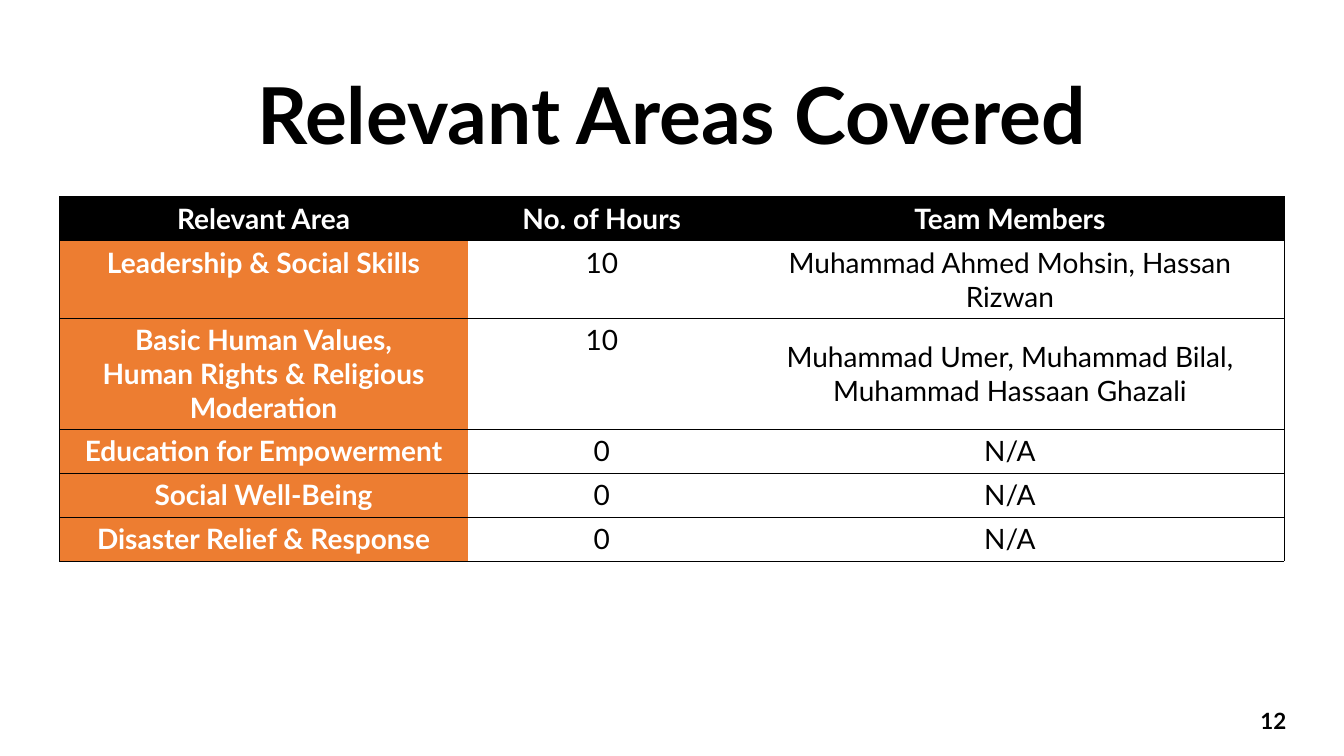
from dataclasses import dataclass
from lxml.etree import SubElement
from pptx import Presentation
from pptx.dml.color import RGBColor
from pptx.enum.text import MSO_ANCHOR, PP_ALIGN
from pptx.oxml.ns import qn
from pptx.util import Pt


@dataclass(frozen=True)
class Theme:
    """Colours, font and type sizes of the slide."""
    font: str = "Lato"
    black: str = "000000"
    white: str = "FFFFFF"
    orange: str = "ED7D31"
    title: int = 56
    body: int = 20
    number: int = 16
    rule: float = 0.5


THEME = Theme()
ROWS = [
    ("Relevant Area", "No. of Hours", "Team Members"),
    ("Leadership & Social Skills", "10", "Muhammad Ahmed Mohsin, Hassan Rizwan"),
    ("Basic Human Values,\vHuman Rights & Religious Moderation", "10",
     "Muhammad Umer, Muhammad Bilal, Muhammad Hassaan Ghazali"),
    ("Education for Empowerment", "0", "N/A"),
    ("Social Well-Being", "0", "N/A"),
    ("Disaster Relief & Response", "0", "N/A"),
]
COL_WIDTHS = [291.6, 191.5, 391.7]
ROW_HEIGHTS = [31.4, 55.4, 79.4, 31.4, 31.4, 31.4]


def write(tf, text, size, color, bold, align):
    """Put one formatted paragraph into a text frame."""
    p = tf.paragraphs[0]
    p.text = text
    p.alignment = align
    for r in p.runs:
        for name, value in {"name": THEME.font, "size": Pt(size), "bold": bold}.items():
            setattr(r.font, name, value)
        r.font.color.rgb = RGBColor.from_string(color)
    return p


def add_label(slide, box, text, size, align):
    """Add a bold, vertically centred text box."""
    tf = slide.shapes.add_textbox(*map(Pt, box)).text_frame
    for name, value in {"word_wrap": True, "vertical_anchor": MSO_ANCHOR.MIDDLE}.items():
        setattr(tf, name, value)
    return write(tf, text, size, THEME.black, True, align)


def set_borders(cell, sides):
    """Rule the given sides of a cell and clear the others."""
    tc_pr = cell._tc.get_or_add_tcPr()
    for side in "LRTB":
        ln = SubElement(tc_pr, qn(f"a:ln{side}"), w=str(Pt(THEME.rule)))
        if side in sides:
            fill = SubElement(ln, qn("a:solidFill"))
            SubElement(fill, qn("a:srgbClr"), val=THEME.black)
        else:
            SubElement(ln, qn("a:noFill"))


def fill_cell(cell, text, row, col):
    """Write and colour one cell by its place in the table."""
    heading = row == 0 or col == 0
    set_borders(cell, "TB" + {0: "L", len(COL_WIDTHS) - 1: "R"}.get(col, ""))
    if heading:
        cell.fill.solid()
        cell.fill.fore_color.rgb = RGBColor.from_string(THEME.orange if row else THEME.black)
    else:
        cell.fill.background()
    write(cell.text_frame, text, THEME.body, THEME.white if heading else THEME.black,
          heading, PP_ALIGN.CENTER)


def add_areas_table(slide, left, top):
    """Add the table of areas, hours and members."""
    table = slide.shapes.add_table(
        len(ROWS), len(COL_WIDTHS), Pt(left), Pt(top),
        Pt(sum(COL_WIDTHS)), Pt(sum(ROW_HEIGHTS))).table
    for column, width in zip(table.columns, COL_WIDTHS):
        column.width = Pt(width)
    for i, (row, height) in enumerate(zip(table.rows, ROW_HEIGHTS)):
        row.height = Pt(height)
        for j, text in enumerate(ROWS[i]):
            fill_cell(table.cell(i, j), text, i, j)
    table.cell(2, 2).vertical_anchor = MSO_ANCHOR.MIDDLE


def main():
    """Build and save the slide."""
    prs = Presentation()
    prs.slide_width, prs.slide_height = Pt(960), Pt(540)
    slide = prs.slides.add_slide(prs.slide_layouts[6])
    title = add_label(slide, (42.5, 39.6, 874.8, 90.7), "Relevant Areas Covered",
                      THEME.title, PP_ALIGN.CENTER)
    title.line_spacing = 0.9
    add_areas_table(slide, 42.5, 140.4)
    add_label(slide, (709.9, 500.4, 216, 28.8), "12", THEME.number, PP_ALIGN.RIGHT)
    prs.save("out.pptx")


if __name__ == "__main__":
    main()
